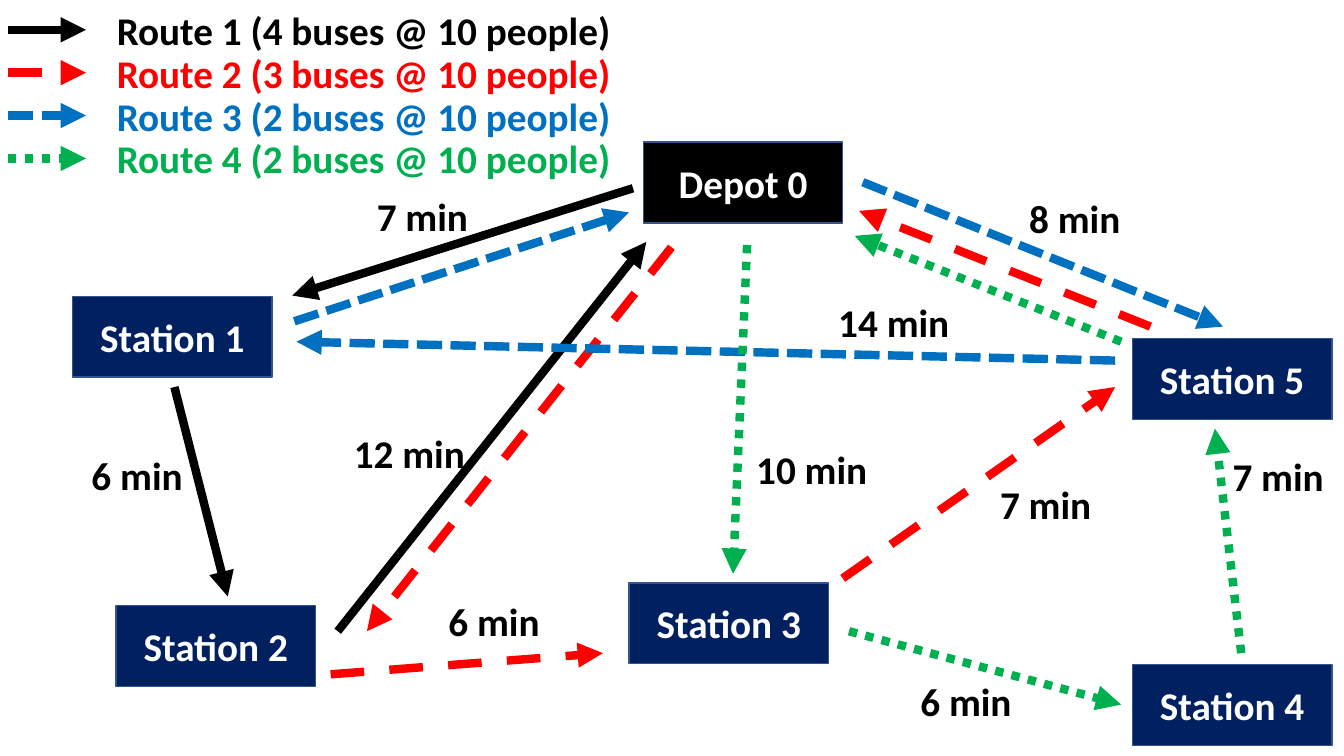
from lxml.etree import SubElement
from pptx import Presentation
from pptx.dml.color import RGBColor
from pptx.enum.dml import MSO_LINE
from pptx.enum.shapes import MSO_CONNECTOR, MSO_SHAPE
from pptx.enum.text import MSO_ANCHOR, PP_ALIGN
from pptx.oxml.ns import qn
from pptx.util import Inches, Pt

COLORS = {
    "black": "000000", "red": "FF0000", "blue": "0070C0", "green": "00B050",
    "navy": "002060", "border": "325491", "white": "FFFFFF",
}

# All positions are percentages of the slide's width and height.
ROUTES = [
    ("Route 1 (4 buses @ 10 people)", "black", None, [
        (47.1, 24.9, 21.75, 39.1),
        (12.98, 51.2, 16.95, 78.9),
        (25.13, 83.5, 48.09, 32),
    ]),
    ("Route 2 (3 buses @ 10 people)", "red", MSO_LINE.DASH, [
        (49.96, 32.7, 27.3, 83.5),
        (24.6, 89.2, 44.86, 86.4),
        (62.7, 76.5, 82.97, 51.2),
        (85.6, 43.2, 63.92, 27.9),
    ]),
    ("Route 3 (2 buses @ 10 people)", "blue", MSO_LINE.SQUARE_DOT, [
        (64.2, 24.1, 91, 43.2),
        (82.97, 47.7, 22.06, 45.2),
        (21.9, 42.5, 46.8, 28.1),
    ]),
    ("Route 4 (2 buses @ 10 people)", "green", MSO_LINE.ROUND_DOT, [
        (55.59, 32.4, 54.54, 75.9),
        (63.17, 83.5, 83.42, 93.2),
        (92.35, 86.4, 90.4, 56.7),
        (83.42, 45.2, 63.6, 31.2),
    ]),
]
STOPS = [
    ("Depot 0", "black", 47.86, 18.8),
    ("Station 1", "navy", 5.4, 39.2),
    ("Station 2", "navy", 8.63, 80.1),
    ("Station 3", "navy", 46.8, 77.1),
    ("Station 4", "navy", 84.25, 87.9),
    ("Station 5", "navy", 84.25, 44.8),
]
TIMES = [
    ("7 min", 31.43, 24.8),
    ("8 min", 79.97, 25.1),
    ("14 min", 66.5, 38.8),
    ("12 min", 30.46, 56.1),
    ("10 min", 60.4, 58.3),
    ("6 min", 10.2, 59.1),
    ("7 min", 95.1, 59.2),
    ("7 min", 77.8, 62.9),
    ("6 min", 36.76, 78.3),
    ("6 min", 71.87, 88.9),
]
STOP_W, STOP_H = 14.85, 10.7
TEXT_H = 7.6
TIME_W = {5: 8.4, 6: 9.9}
KEY_TOP, KEY_STEP = 0.15, 5.67
KEY_LEFT, KEY_W = 7.95, 38.63
KEY_LINE = (0.6, 6.4)

prs = Presentation()
prs.slide_width, prs.slide_height = Inches(13.33), Inches(7.5)
s = prs.slides.add_slide(prs.slide_layouts[6])


def rgb(name):
    return RGBColor.from_string(COLORS[name])


def place(x, y):
    return int(prs.slide_width * x / 100), int(prs.slide_height * y / 100)


def write(sp, text, color, align):
    p = sp.text_frame.paragraphs[0]
    p.text = text
    p.alignment = align
    font = p.runs[0].font
    font.name, font.size, font.bold = "Calibri", Pt(28), True
    font.color.rgb = rgb(color)


def add_label(text, x, y, w, color, align):
    sp = s.shapes.add_textbox(*place(x, y), *place(w, TEXT_H))
    sp.text_frame.word_wrap = False
    write(sp, text, color, align)


def add_arrow(x1, y1, x2, y2, color, dash):
    c = s.shapes.add_connector(MSO_CONNECTOR.STRAIGHT, *place(x1, y1), *place(x2, y2))
    c.line.width = Pt(6)
    c.line.color.rgb = rgb(color)
    if dash:
        c.line.dash_style = dash
    SubElement(c.line._get_or_add_ln(), qn("a:tailEnd"), type="triangle")
    SubElement(c._element.spPr, qn("a:effectLst"))


def add_stop(name, fill, x, y):
    sp = s.shapes.add_shape(MSO_SHAPE.RECTANGLE, *place(x, y), *place(STOP_W, STOP_H))
    sp.shadow.inherit = False
    sp.fill.solid()
    sp.fill.fore_color.rgb = rgb(fill)
    sp.line.color.rgb = rgb("border")
    sp.line.width = Pt(1)
    sp.text_frame.vertical_anchor = MSO_ANCHOR.MIDDLE
    write(sp, name, "white", PP_ALIGN.CENTER)


for stop in STOPS:
    add_stop(*stop)

for text, center, y in TIMES:
    w = TIME_W[len(text)]
    add_label(text, center - w / 2, y, w, "black", PP_ALIGN.CENTER)

for i, (text, color, dash, legs) in enumerate(ROUTES):
    top = KEY_TOP + i * KEY_STEP
    middle = top + TEXT_H / 2
    add_label(text, KEY_LEFT, top, KEY_W, color, PP_ALIGN.LEFT)
    key = (KEY_LINE[0], middle, KEY_LINE[1], middle)
    for leg in [key, *legs]:
        add_arrow(*leg, color, dash)

prs.save("out.pptx")
